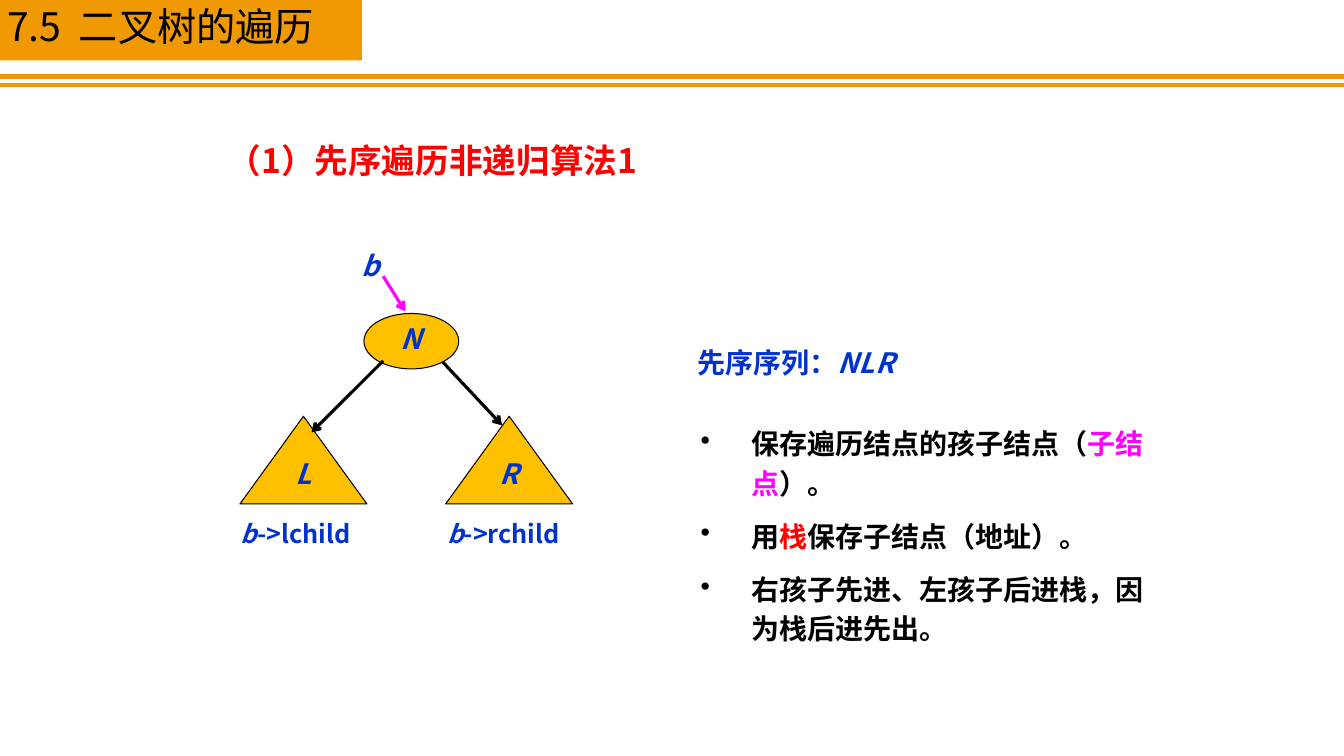
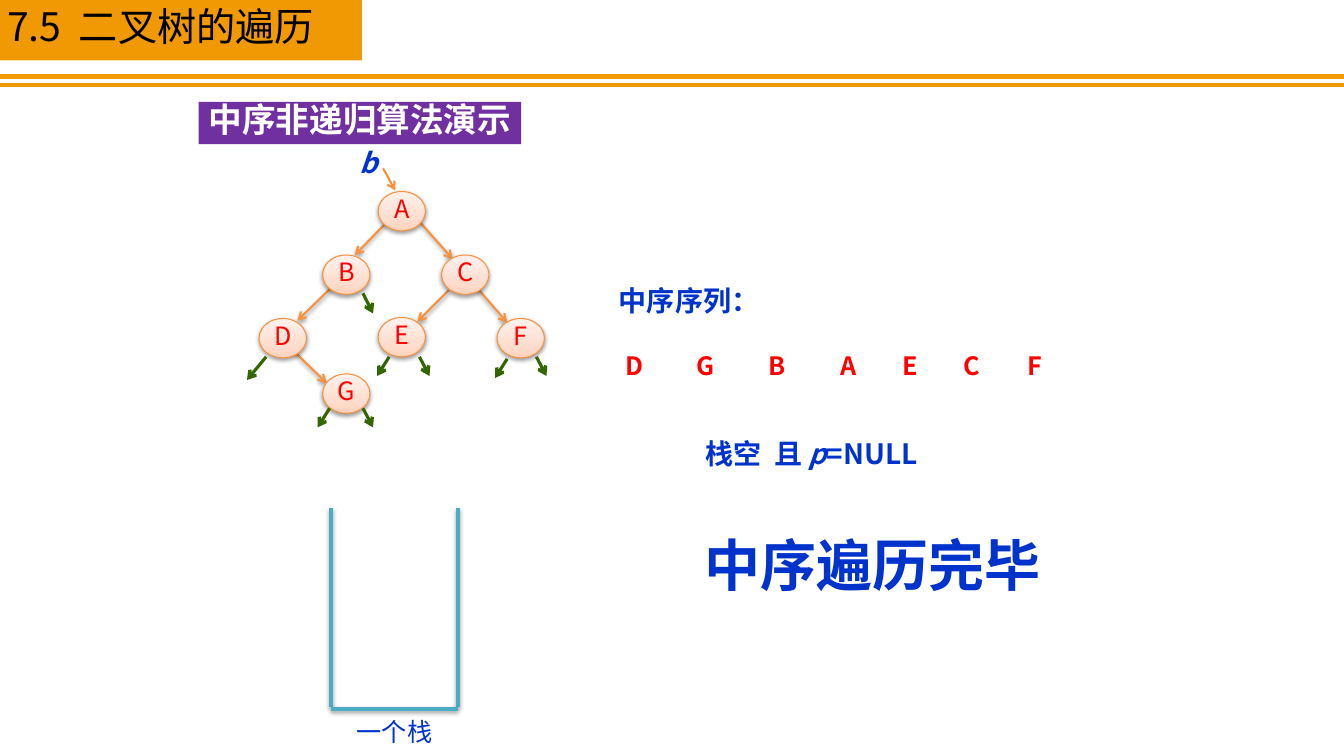
import copy

import pptx
import pptx.dml.color
import pptx.enum.shapes
import pptx.enum.text
import pptx.oxml.ns
import pptx.util
from lxml import etree

Inches = pptx.util.Inches
Pt = pptx.util.Pt
RGBColor = pptx.dml.color.RGBColor
qn = pptx.oxml.ns.qn
SHAPE = pptx.enum.shapes.MSO_SHAPE
ANCHOR = pptx.enum.text.MSO_ANCHOR
ALIGN = pptx.enum.text.PP_ALIGN

FONT = "Noto Sans CJK SC"
BAND = RGBColor(0xF1, 0x99, 0x03)
BLACK = RGBColor(0x00, 0x00, 0x00)
WHITE = RGBColor(0xFF, 0xFF, 0xFF)
BLUE = RGBColor(0x00, 0x33, 0xCC)
RED = RGBColor(0xFF, 0x00, 0x00)
MAGENTA = RGBColor(0xFF, 0x00, 0xFF)
GOLD = RGBColor(0xFF, 0xC0, 0x00)
PURPLE = RGBColor(0x70, 0x30, 0xA0)
ORANGE = RGBColor(0xF6, 0x92, 0x40)
GREEN = RGBColor(0x33, 0x66, 0x00)
TEAL = RGBColor(0x4B, 0xAC, 0xC6)
NODE_STOPS = [
    (0, RGBColor(0xFF, 0xD2, 0xBD)),
    (0.35, RGBColor(0xFF, 0xDE, 0xD0)),
    (1, RGBColor(0xFF, 0xF2, 0xED)),
]

EMPHASIS = {"bold": True}
ITALIC = {"bold": True, "italic": True}


def write(sp, paragraphs, size, color, style=EMPHASIS, align=ALIGN.LEFT,
          spacing=0.8, anchor=ANCHOR.TOP, wrap=True, insets=(0.1, 0.05, 0.1, 0.05),
          bullet=False):
    """Fill a shape; each paragraph is a list of (text, format overrides)."""
    tf = sp.text_frame
    frame = {"word_wrap": wrap, "vertical_anchor": anchor}
    sides = ("margin_left", "margin_top", "margin_right", "margin_bottom")
    frame.update(zip(sides, map(Inches, insets)))
    for name, value in frame.items():
        setattr(tf, name, value)
    for i, runs in enumerate(paragraphs):
        p = tf.add_paragraph() if i else tf.paragraphs[0]
        if bullet:
            pPr = p._p.get_or_add_pPr()
            pPr.set("marL", str(Inches(0.5)))
            pPr.set("indent", str(Inches(-0.5)))
            etree.SubElement(pPr, qn("a:buChar")).set("char", "•")
        for name, value in {"alignment": align, "line_spacing": spacing,
                            "space_before": Pt(size / 2 if i else 0)}.items():
            setattr(p, name, value)
        for content, overrides in runs:
            r = p.add_run()
            r.text = content
            fmt = {"name": FONT, "size": Pt(size), "color": color, **style, **overrides}
            r.font.color.rgb = fmt.pop("color")
            for name, value in fmt.items():
                setattr(r.font, name, value)
            etree.SubElement(r._r.get_or_add_rPr(), qn("a:ea")).set("typeface", FONT)


def add_text(slide, box, content, size, color, **options):
    """Add a text box holding a string or a list of runs."""
    runs = [(content, {})] if isinstance(content, str) else content
    sp = slide.shapes.add_textbox(*map(Inches, box))
    write(sp, [runs], size, color, **options)


def add_box(slide, kind, box, fill=None, line=None):
    sp = slide.shapes.add_shape(kind, *map(Inches, box))
    sp.shadow.inherit = False
    if fill is not None:
        sp.fill.solid()
        sp.fill.fore_color.rgb = fill
    if line is None:
        sp.line.fill.background()
    else:
        sp.line.color.rgb = line
        sp.line.width = Pt(0.75)
    return sp


def add_shadow(effects, opacity=38):
    shadow = etree.SubElement(effects, qn("a:outerShdw"))
    for name, value in {"blurRad": Pt(3.1), "dist": Pt(1.6), "dir": 90 * 60000,
                        "rotWithShape": 0}.items():
        shadow.set(name, str(value))
    black = etree.SubElement(shadow, qn("a:srgbClr"), val="000000")
    etree.SubElement(black, qn("a:alpha"), val=str(opacity * 1000))


def add_line(slide, ends, color, width, arrow=False, shadow=0):
    """Draw a straight line; shadow is its opacity in percent."""
    c = slide.shapes.add_connector(pptx.enum.shapes.MSO_CONNECTOR.STRAIGHT,
                                   *map(Inches, ends))
    c.line.color.rgb = color
    c.line.width = Pt(width)
    spPr = c._element.spPr
    if arrow:
        etree.SubElement(spPr.find(qn("a:ln")), qn("a:tailEnd"), type="arrow")
    effects = etree.SubElement(spPr, qn("a:effectLst"))
    if shadow:
        add_shadow(effects, shadow)


def shifted(x, y, ends):
    x1, y1, x2, y2 = ends
    return x + x1, y + y1, x + x2, y + y2


def new_slide(prs):
    """Add a slide with the section band, title and double rule."""
    slide = prs.slides.add_slide(prs.slide_layouts[5])
    title = slide.shapes.title
    band = add_box(slide, SHAPE.RECTANGLE, (0, 0, 3.59, 0.6), BAND)
    title._element.addprevious(band._element)
    for name, value in zip(("left", "top", "width", "height"), (0, 0.06, 3.35, 0.48)):
        setattr(title, name, Inches(value))
    write(title, [[("7.5  二叉树的遍历", {})]], 28, BLACK, style={"bold": False},
          insets=(0.07, 0.05, 0.1, 0.05))
    for y in (0.76, 0.84):
        add_line(slide, (0, y, 13.33, y), BAND, 3)
    return slide


def subtree_diagram(slide, x, y):
    """Draw root N with its left and right subtrees."""
    add_text(slide, (x + 1.2, y, 0.32, 0.37), "b", 20, BLUE, style=ITALIC)
    add_line(slide, shifted(x, y, (1.51, 0.26, 1.73, 0.61)), MAGENTA, 2.25, arrow=True)
    parts = [
        ("N", SHAPE.OVAL, (x + 1.32, y + 0.63, 0.94, 0.55), 0.8),
        ("L", SHAPE.ISOSCELES_TRIANGLE, (x + 0.09, y + 1.65, 1.26, 0.87), Pt(12)),
        ("R", SHAPE.ISOSCELES_TRIANGLE, (x + 2.13, y + 1.65, 1.26, 0.87), Pt(12)),
    ]
    for label, kind, box, spacing in parts:
        sp = add_box(slide, kind, box, GOLD, BLACK)
        write(sp, [[(label, {})]], 20, BLUE, style=ITALIC, align=ALIGN.CENTER,
              spacing=spacing, anchor=ANCHOR.MIDDLE, wrap=False)
    for ends in ((1.51, 1.1, 0.8, 1.81), (2.1, 1.11, 2.69, 1.74)):
        add_line(slide, shifted(x, y, ends), BLACK, 2.25, arrow=True)
    for dx, field in ((0, "lchild"), (2.05, "rchild")):
        add_text(slide, (x + dx, y + 2.67, 1.66, 0.34),
                 [("b", {"italic": True}), ("->" + field, {})], 18, BLUE)


def preorder_notes(slide, box):
    sp = add_box(slide, SHAPE.RECTANGLE, box, WHITE)
    write(sp, [
        [("保存遍历结点的孩子结点（", {}), ("子结点", {"color": MAGENTA}), ("）。", {})],
        [("用", {}), ("栈", {"color": RED}), ("保存子结点（地址）。", {})],
        [("右孩子先进、左孩子后进栈，因为栈后进先出。", {})],
    ], 20, BLACK, spacing=Pt(28), insets=(0.2, 0.12, 0.1, 0.12), bullet=True)


def preorder_slide(prs):
    slide = new_slide(prs)
    add_text(slide, (2.16, 1.42, 4.51, 0.42), "（1）先序遍历非递归算法1", 24, RED)
    subtree_diagram(slide, 2.29, 2.48)
    preorder_notes(slide, (6.75, 4.06, 4.92, 2.54))
    add_text(slide, (6.82, 3.44, 2.19, 0.37),
             [("先序序列：", {}), ("NLR", {"italic": True})], 20, BLUE)


def tree_node(slide, x, y, label):
    sp = add_box(slide, SHAPE.OVAL, (x, y, 0.47, 0.39), line=ORANGE)
    sp.fill.gradient()
    sp.fill.gradient_angle = 90
    spPr = sp._element.spPr
    first = spPr.find(".//" + qn("a:gs"))
    first.addnext(copy.deepcopy(first))
    for stop, (position, color) in zip(sp.fill.gradient_stops, NODE_STOPS):
        stop.position = position
        stop.color.rgb = color
    add_shadow(spPr.find(qn("a:effectLst")))
    write(sp, [[(label, {})]], 18, RED, style={}, align=ALIGN.CENTER,
          anchor=ANCHOR.MIDDLE, wrap=False)


def binary_tree(slide, x, y):
    """Draw the sample tree with its edges and empty child pointers."""
    edges = [
        (0.52, 1.99, 0.84, 2.3), (1.43, 0.71, 1.12, 1.03), (1.77, 0.71, 2.09, 1.07),
        (0.91, 1.33, 0.55, 1.68), (2.05, 1.38, 1.74, 1.69), (2.31, 1.33, 2.63, 1.7),
    ]
    for ends in edges:
        add_line(slide, shifted(x, y, ends), ORANGE, 1.5, arrow=True, shadow=38)
    nodes = {"A": (1.35, 0.4), "B": (0.8, 1.03), "C": (1.98, 1.03), "D": (0.17, 1.66),
             "E": (1.35, 1.65), "F": (2.53, 1.66), "G": (0.8, 2.21)}
    for label, (dx, dy) in nodes.items():
        tree_node(slide, x + dx, y + dy, label)
    empty_links = [
        (1.2, 2.55, 1.3, 2.74), (0.87, 2.55, 0.75, 2.74), (1.76, 2.04, 1.86, 2.23),
        (1.46, 2.04, 1.34, 2.23), (2.92, 2.04, 3.02, 2.23), (2.63, 2.06, 2.51, 2.25),
        (0.24, 2.04, 0.05, 2.27), (1.2, 1.41, 1.3, 1.61),
    ]
    for ends in empty_links:
        add_line(slide, shifted(x, y, ends), GREEN, 2.25, arrow=True)
    add_line(slide, shifted(x, y, (1.4, 0.17, 1.52, 0.39)), ORANGE, 1.5, arrow=True)
    add_text(slide, (x + 1.06, y + 0.01, 0.39, 0.27), "b", 20, BLUE, style=ITALIC,
             align=ALIGN.CENTER, insets=(0, 0, 0, 0))


def empty_stack(slide, x, y, w, h):
    for ends in ((0, 0, 0, h - 0.02), (w, 0, w, h - 0.02), (0, h, w, h)):
        add_line(slide, shifted(x, y, ends), TEAL, 3, shadow=35)
    add_text(slide, (x + 0.16, y + h + 0.09, 1.04, 0.34), "一个栈", 18, BLUE, style={})


def inorder_result(slide, x, y):
    add_text(slide, (x, y, 1.89, 0.37), "中序序列：", 20, BLUE)
    offsets = (0.02, 0.72, 1.43, 2.14, 2.75, 3.36, 3.99)
    for label, dx in zip("DGBAECF", offsets):
        add_text(slide, (x + dx, y + 0.7, 0.47, 0.24), label, 18, RED,
                 align=ALIGN.CENTER, insets=(0, 0, 0, 0))
    add_text(slide, (x + 0.86, y + 1.52, 2.5, 0.37),
             [("栈空  且 ", {}), ("p", {"italic": True}), ("=NULL", {})], 20, BLUE)
    add_text(slide, (x + 0.49, y + 2.51, 4.25, 0.64), "中序遍历完毕", 40, BLUE,
             align=ALIGN.CENTER)


def inorder_slide(prs):
    slide = new_slide(prs)
    heading = add_box(slide, SHAPE.RECTANGLE, (1.97, 1.01, 3.2, 0.42), PURPLE)
    write(heading, [[("中序非递归算法演示", {})]], 24, WHITE, align=ALIGN.CENTER)
    binary_tree(slide, 2.4, 1.5)
    empty_stack(slide, 3.28, 5.04, 1.26, 1.99)
    inorder_result(slide, 6.04, 2.83)


def main():
    prs = pptx.Presentation()
    prs.slide_width = Inches(13.33)
    prs.slide_height = Inches(7.5)
    preorder_slide(prs)
    inorder_slide(prs)
    prs.save("out.pptx")


if __name__ == "__main__":
    main()
